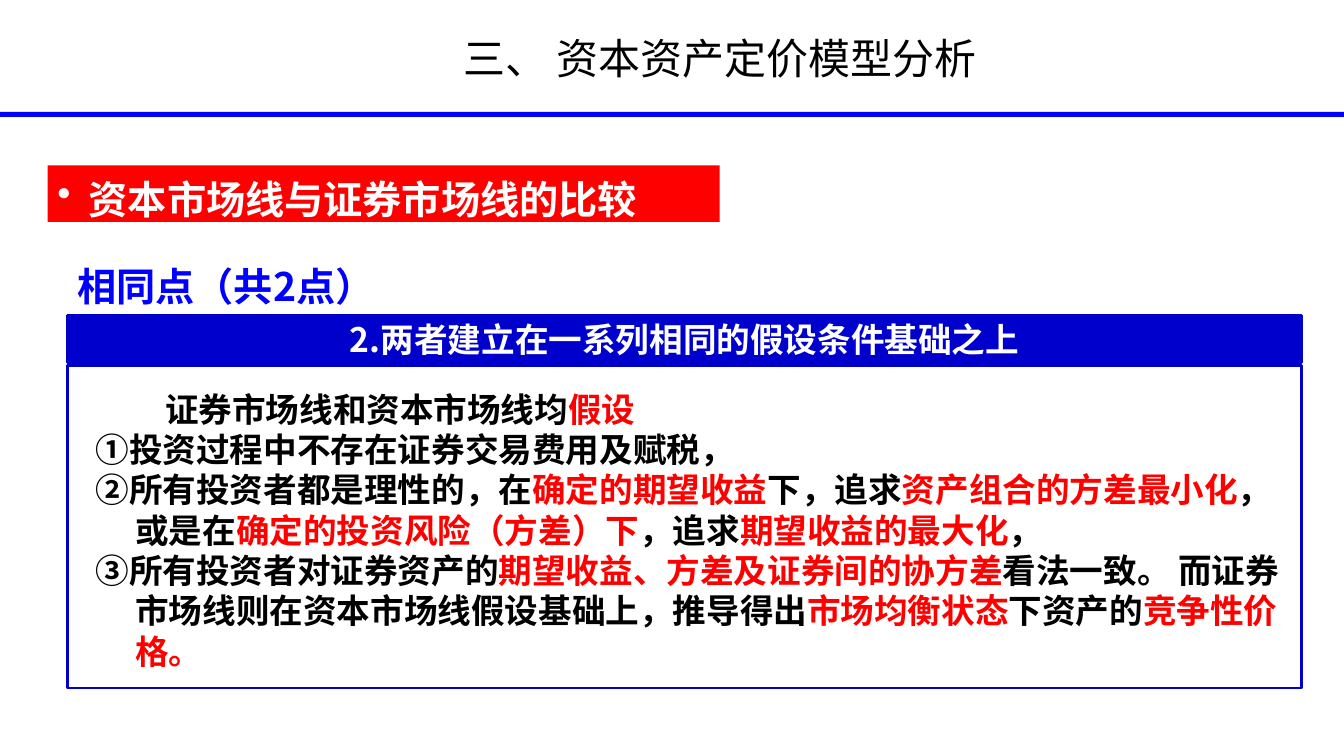
from pptx import Presentation
from pptx.dml.color import RGBColor
from pptx.enum.shapes import MSO_SHAPE
from pptx.enum.text import MSO_ANCHOR, PP_ALIGN
from pptx.oxml.ns import qn
from pptx.util import Cm, Pt
from lxml import etree

RECTANGLE = MSO_SHAPE.RECTANGLE
TOP, MIDDLE = MSO_ANCHOR.TOP, MSO_ANCHOR.MIDDLE
LEFT, CENTER = PP_ALIGN.LEFT, PP_ALIGN.CENTER
SANS, SERIF = "Noto Sans CJK SC", "Times New Roman"
COLORS = {"black": "000000", "white": "FFFFFF", "red": "FF0000",
          "blue": "0000FF", "navy": "0000CC"}

TITLE = "三、 资本资产定价模型分析"
TOPIC = "资本市场线与证券市场线的比较"
SUBHEAD = "相同点（共2点）"
PANEL_HEAD = "2.两者建立在一系列相同的假设条件基础之上"
INTRO = [("证券市场线和资本市场线均", "black"), ("假设", "red")]
ASSUMPTIONS = [
    [("①投资过程中不存在证券交易费用及赋税，", "black")],
    [("②所有投资者都是理性的，在", "black"), ("确定的期望收益", "red"),
     ("下，追求", "black"), ("资产组合的方差最小化", "red"),
     ("，或是在", "black"), ("确定的投资风险（方差）下", "red"),
     ("，追求", "black"), ("期望收益的最大化", "red"), ("，", "black")],
    [("③所有投资者对证券资产的", "black"),
     ("期望收益、方差及证券间的协方差", "red"),
     ("看法一致。 而证券市场线则在资本市场线假设基础上，推导得出", "black"),
     ("市场均衡状态", "red"), ("下资产的", "black"), ("竞争性价格。", "red")],
]

PAGE_WIDTH, PAGE_HEIGHT = 33.87, 19.05
PANEL_LEFT, PANEL_WIDTH = 1.7, 31.1
LABEL_WIDTH, LABEL_HEIGHT = 16.94, 1.42


def color(name):
    return RGBColor.from_string(COLORS[name])


def add_box(page, area, fill=None, line=None):
    box = page.shapes.add_shape(RECTANGLE, *map(Cm, area))
    box.shadow.inherit = False
    if fill:
        box.fill.solid()
        box.fill.fore_color.rgb = color(fill)
    else:
        box.fill.background()
    if line:
        box.line.color.rgb = color(line)
        box.line.width = Pt(2)
    else:
        box.line.fill.background()
    return box


def add_text_box(page, area):
    return page.shapes.add_textbox(*map(Cm, area))


def write(box, paragraphs, size, face, bold=True, align=LEFT, anchor=TOP,
          spacing=1.0, indents=None, bullet=None):
    frame = box.text_frame
    frame.word_wrap = True
    frame.vertical_anchor = anchor
    for index, runs in enumerate(paragraphs):
        para = frame.add_paragraph() if index else frame.paragraphs[0]
        if indents:
            margin, indent = indents[index]
            properties = para._p.get_or_add_pPr()
            properties.set("marL", str(Cm(margin)))
            properties.set("indent", str(Cm(indent)))
        if bullet:
            mark = etree.SubElement(para._p.get_or_add_pPr(), qn("a:buChar"))
            mark.set("char", bullet)
        para.alignment = align
        para.line_spacing = spacing
        for text, tone in runs:
            span = para.add_run()
            span.text = text
            for name, value in {"name": face, "size": Pt(size), "bold": bold}.items():
                setattr(span.font, name, value)
            span.font.color.rgb = color(tone)
            east_asian = etree.SubElement(span._r.get_or_add_rPr(), qn("a:ea"))
            east_asian.set("typeface", SANS)


def main():
    deck = Presentation()
    deck.slide_width, deck.slide_height = Cm(PAGE_WIDTH), Cm(PAGE_HEIGHT)
    page = deck.slides.add_slide(deck.slide_layouts[6])

    add_box(page, (0, 2.82, PAGE_WIDTH, 0.13), fill="blue")
    title = add_text_box(page, (8.74, 0.46, 18.8, 1.98))
    write(title, [[(TITLE, "black")]], 30, SERIF, bold=False,
          align=CENTER, anchor=MIDDLE)

    topic = add_box(page, (1.2, 4.17, LABEL_WIDTH, LABEL_HEIGHT), fill="red")
    write(topic, [[(TOPIC, "white")]], 28, SANS, spacing=1.1,
          indents=[(0.79, -0.79)], bullet="•")

    panel_head = add_box(page, (PANEL_LEFT, 7.95, PANEL_WIDTH, 1.19),
                         fill="navy", line="navy")
    write(panel_head, [[(PANEL_HEAD, "white")]], 24, SANS,
          align=CENTER, anchor=MIDDLE)
    add_box(page, (PANEL_LEFT, 9.22, PANEL_WIDTH, 8.12), line="navy")

    body = add_text_box(page, (2.16, 9.67, 30.64, 7.44))
    write(body, [INTRO] + ASSUMPTIONS, 24, SERIF,
          indents=[(0, 1.75)] + [(1, -1)] * len(ASSUMPTIONS))

    subhead = add_text_box(page, (PANEL_LEFT, 6.37, LABEL_WIDTH, LABEL_HEIGHT))
    write(subhead, [[(SUBHEAD, "blue")]], 28, SANS, spacing=1.1)

    deck.save("out.pptx")


if __name__ == "__main__":
    main()
